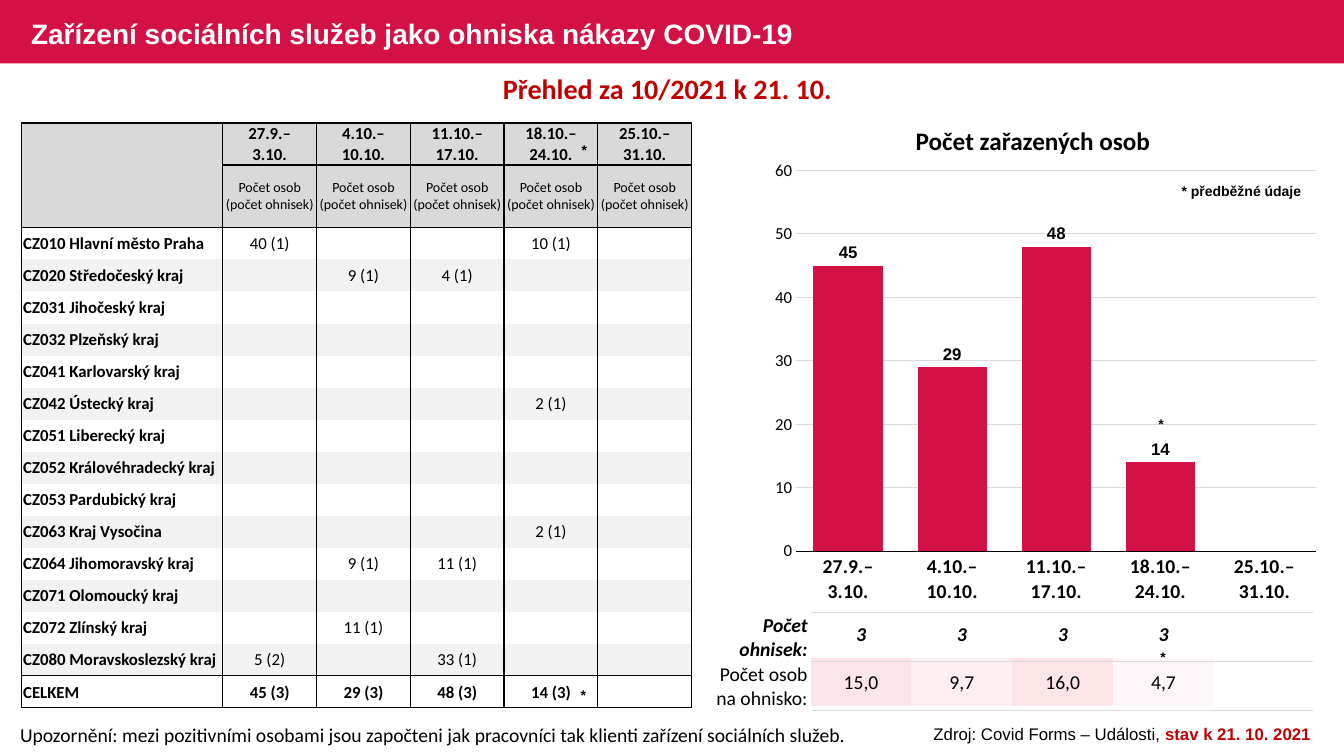
from lxml import etree
from pptx import Presentation
from pptx.chart.data import CategoryChartData
from pptx.dml.color import RGBColor
from pptx.enum.chart import XL_CHART_TYPE, XL_LABEL_POSITION, XL_TICK_MARK
from pptx.enum.shapes import MSO_SHAPE
from pptx.enum.text import MSO_ANCHOR, PP_ALIGN
from pptx.oxml import parse_xml
from pptx.oxml.ns import nsdecls, qn
from pptx.util import Inches, Pt

COLUMN = XL_CHART_TYPE.COLUMN_CLUSTERED
OUTSIDE = XL_LABEL_POSITION.OUTSIDE_END
NO_TICK = XL_TICK_MARK.NONE
RECT = MSO_SHAPE.RECTANGLE
MIDDLE, TOP = MSO_ANCHOR.MIDDLE, MSO_ANCHOR.TOP
LEFT, CENTER, RIGHT = PP_ALIGN.LEFT, PP_ALIGN.CENTER, PP_ALIGN.RIGHT

RED = RGBColor(0xD3, 0x11, 0x45)
DARK = RGBColor(0xC0, 0x00, 0x00)
BLACK = RGBColor(0, 0, 0)
WHITE = RGBColor(0xFF, 0xFF, 0xFF)
HEAD = RGBColor(0xD9, 0xD9, 0xD9)
BAND = RGBColor(0xF2, 0xF2, 0xF2)
PINKS = [RGBColor(0xFC, 0xE5, 0xE8), RGBColor(0xFC, 0xEE, 0xF1),
         RGBColor(0xFC, 0xE4, 0xE7), RGBColor(0xFC, 0xF6, 0xF9)]
NO_STYLE = "{2D5ABB26-0587-4C30-8999-92F81FD0307C}"

WEEKS = ["27.9.–\n3.10.", "4.10.–\n10.10.", "11.10.–\n17.10.",
         "18.10.–\n24.10.", "25.10.–\n31.10."]
UNIT = "Počet osob (počet ohnisek)"
REGIONS = [
    ("CZ010 Hlavní město Praha", "40 (1)", "", "", "10 (1)", ""),
    ("CZ020 Středočeský kraj", "", "9 (1)", "4 (1)", "", ""),
    ("CZ031 Jihočeský kraj", "", "", "", "", ""),
    ("CZ032 Plzeňský kraj", "", "", "", "", ""),
    ("CZ041 Karlovarský kraj", "", "", "", "", ""),
    ("CZ042 Ústecký kraj", "", "", "", "2 (1)", ""),
    ("CZ051 Liberecký kraj", "", "", "", "", ""),
    ("CZ052 Královéhradecký kraj", "", "", "", "", ""),
    ("CZ053 Pardubický kraj", "", "", "", "", ""),
    ("CZ063 Kraj Vysočina", "", "", "", "2 (1)", ""),
    ("CZ064 Jihomoravský kraj", "", "9 (1)", "11 (1)", "", ""),
    ("CZ071 Olomoucký kraj", "", "", "", "", ""),
    ("CZ072 Zlínský kraj", "", "11 (1)", "", "", ""),
    ("CZ080 Moravskoslezský kraj", "5 (2)", "", "33 (1)", "", ""),
    ("CELKEM", "45 (3)", "29 (3)", "48 (3)", "14 (3)", ""),
]


def put(par, text, size, face="Calibri", color=BLACK, bold=False,
        align=CENTER, italic=False):
    par.text = text
    par.alignment = align
    font = par.font
    font.name, font.size = face, Pt(size)
    font.bold, font.italic = bold, italic
    font.color.rgb = color


def dress(cell, sides, line, fill=None, pad=(0.01, 0.01)):
    """Set margins, borders and fill of a table cell."""
    cell.vertical_anchor = MIDDLE
    cell.margin_left, cell.margin_right = [Inches(gap) for gap in pad]
    cell.margin_top, cell.margin_bottom = Inches(0.01), 0
    props = cell._tc.get_or_add_tcPr()
    for side in "LRTB":
        edge = etree.SubElement(props, qn("a:ln" + side), w=str(Pt(1)))
        if side in sides:
            paint = etree.SubElement(edge, qn("a:solidFill"))
            etree.SubElement(paint, qn("a:srgbClr"), val=str(line))
        else:
            etree.SubElement(edge, qn("a:noFill"))
    if fill is None:
        cell.fill.background()
    else:
        cell.fill.solid()
        cell.fill.fore_color.rgb = fill


deck = Presentation()
deck.slide_width, deck.slide_height = Inches(13.33), Inches(7.5)
slide = deck.slides.add_slide(deck.slide_layouts[6])
shapes = slide.shapes

# Title band
band = shapes.add_shape(RECT, 0, 0, Inches(13.33), Inches(0.63))
band.shadow.inherit = False
band.fill.solid()
band.fill.fore_color.rgb = RED
band.line.fill.background()

# Empty tables: left, top, column widths, row heights
grids = []
for x, y, cols, rows in [
    (8.04, 6.06, [1] * 5, [0.47] * 2),
    (0.21, 1.22, [2] + [0.93] * 5, [0.41, 0.62] + [4.77 / 15] * 15),
    (7.04, 6.08, [1.01] + [0.71] * 7, [0.46] * 2),
]:
    frame = shapes.add_table(len(rows), len(cols), Inches(x), Inches(y),
                             Inches(sum(cols)), Inches(sum(rows)))
    for mark in frame.element.iter(qn("a:tableStyleId")):
        mark.text = NO_STYLE
    grid = frame.table
    grid.first_row = grid.horz_banding = False
    for col, wide in zip(grid.columns, cols):
        col.width = Inches(wide)
    for row, high in zip(grid.rows, rows):
        row.height = Inches(high)
    grids.append(grid)
ratio, main, names = grids

# Outbreak counts and persons per outbreak
for r, vals in enumerate([["3"] * 4 + [""], ["15,0", "9,7", "16,0", "4,7", ""]]):
    for c, text in enumerate(vals):
        cell = ratio.cell(r, c)
        dress(cell, "", BLACK, PINKS[c] if r and c < len(PINKS) else None)
        put(cell.text_frame.paragraphs[0], text, 14, bold=r == 0, italic=r == 0)

# Regions by week
lines = [["", *WEEKS], [""] + [UNIT] * 5, *REGIONS]
last = len(lines) - 1
for r, vals in enumerate(lines):
    for c, text in enumerate(vals):
        sides = "LR"
        if r in (0, 2, last) or (r == 1 and c):
            sides += "T"
        if r in (1, last - 1, last) or (r == 0 and c):
            sides += "B"
        fill = HEAD if r < 2 else BAND if r % 2 and r < last else None
        cell = main.cell(r, c)
        dress(cell, sides, BLACK, fill, (0.01, 0.01) if c else (0.02, 0.02))
        put(cell.text_frame.paragraphs[0], text, 10 if r == 1 else 12,
            bold=c == 0 or r in (0, last), align=CENTER if c else LEFT)

# Row names under the chart
for r, name in enumerate(["Počet ohnisek:", "Počet osob na ohnisko:"]):
    for c in range(8):
        cell = names.cell(r, c)
        dress(cell, "TB" if c else "", HEAD, pad=(0.01, 0.04))
        put(cell.text_frame.paragraphs[0], "" if c else name, 14,
            bold=r == 0, italic=r == 0, align=RIGHT)

# Chart of persons
data = CategoryChartData()
data.categories = WEEKS
data.add_series("Počet osob", [45, 29, 48, 14, None])
chart = shapes.add_chart(COLUMN, Inches(7.56), Inches(1.51), Inches(5.61),
                         Inches(4.55), data).chart
chart.has_legend = chart.has_title = False
chart.font.name, chart.font.size, chart.font.bold = "Arial", Pt(14), True
chart.font.color.rgb = BLACK
plot = chart.plots[0]
plot.gap_width = 50
plot.vary_by_categories = False
bars = plot.series[0].format.fill
bars.solid()
bars.fore_color.rgb = RED
plot.has_data_labels = True
tags = plot.data_labels
tags.show_value, tags.position = True, OUTSIDE
weeks, scale = chart.category_axis, chart.value_axis
for font, face, size, bold in [(tags.font, "Arial", 12, True),
                               (weeks.tick_labels.font, "Calibri", 14, True),
                               (scale.tick_labels.font, "Calibri", 12, False)]:
    font.name, font.size, font.bold = face, Pt(size), bold
    font.color.rgb = BLACK
for axis in (weeks, scale):
    axis.major_tick_mark = axis.minor_tick_mark = NO_TICK
weeks.format.line.color.rgb = BLACK
weeks.format.line.width = Pt(0.75)
scale.minimum_scale, scale.maximum_scale, scale.major_unit = 0, 60, 10
scale.format.line.fill.background()
scale.major_gridlines.format.line.color.rgb = HEAD
scale.major_gridlines.format.line.width = Pt(0.75)
area = chart.element.find(".//" + qn("c:plotArea"))
for old in area.findall(qn("c:layout")):
    area.remove(old)
area.insert(0, parse_xml(
    f'<c:layout {nsdecls("c")}><c:manualLayout><c:layoutTarget val="inner"/>'
    '<c:xMode val="edge"/><c:yMode val="edge"/><c:x val="0.06"/><c:y val="0.04"/>'
    '<c:w val="0.92"/><c:h val="0.83"/></c:manualLayout></c:layout>'))

# Headings, notes and asterisks
NOTE = ("Upozornění: mezi pozitivními osobami jsou započteni jak pracovníci "
        "tak klienti zařízení sociálních služeb.")
TITLE = "Zařízení sociálních služeb jako ohniska nákazy COVID-19"
SOURCE = "Zdroj: Covid Forms – Události, "
STAR = (0.19, 0.17, "*", 10, "Arial", BLACK, True, CENTER)
for x, y, wide, high, text, *look in [
    (0.21, 0.02, 8.13, 0.63, TITLE, 20, "Arial", WHITE, True, LEFT),
    (0.21, 0.66, 12.82, 0.44, "Přehled za 10/2021 k 21. 10.", 20, "Calibri", DARK, True),
    (7.56, 1.19, 5.37, 0.4, "Počet zařazených osob", 18, "Calibri", BLACK, True),
    (0.1, 7.12, 8.52, 0.34, NOTE, 14, "Calibri", BLACK, False, LEFT),
    (9.03, 7.13, 4.2, 0.3, SOURCE, 12, "Arial"),
    (11.72, 1.81, 1.31, 0.17, "* předběžné údaje", 10, "Arial", BLACK, True, LEFT),
    (11.42, 4.12, *STAR), (11.44, 6.43, *STAR),
    (5.7, 1.4, *STAR), (5.69, 6.81, *STAR),
]:
    frame = shapes.add_textbox(Inches(x), Inches(y), Inches(wide),
                               Inches(high)).text_frame
    frame.word_wrap = True
    frame.vertical_anchor = MIDDLE if text == TITLE else TOP
    if high < 0.2:
        frame.margin_left = frame.margin_right = 0
        frame.margin_top = frame.margin_bottom = 0
    par = frame.paragraphs[0]
    put(par, text, *look)
    if text == SOURCE:
        date = par.add_run()
        date.text = "stav k 21. 10. 2021"
        date.font.bold = True
        date.font.color.rgb = DARK

deck.save("out.pptx")
